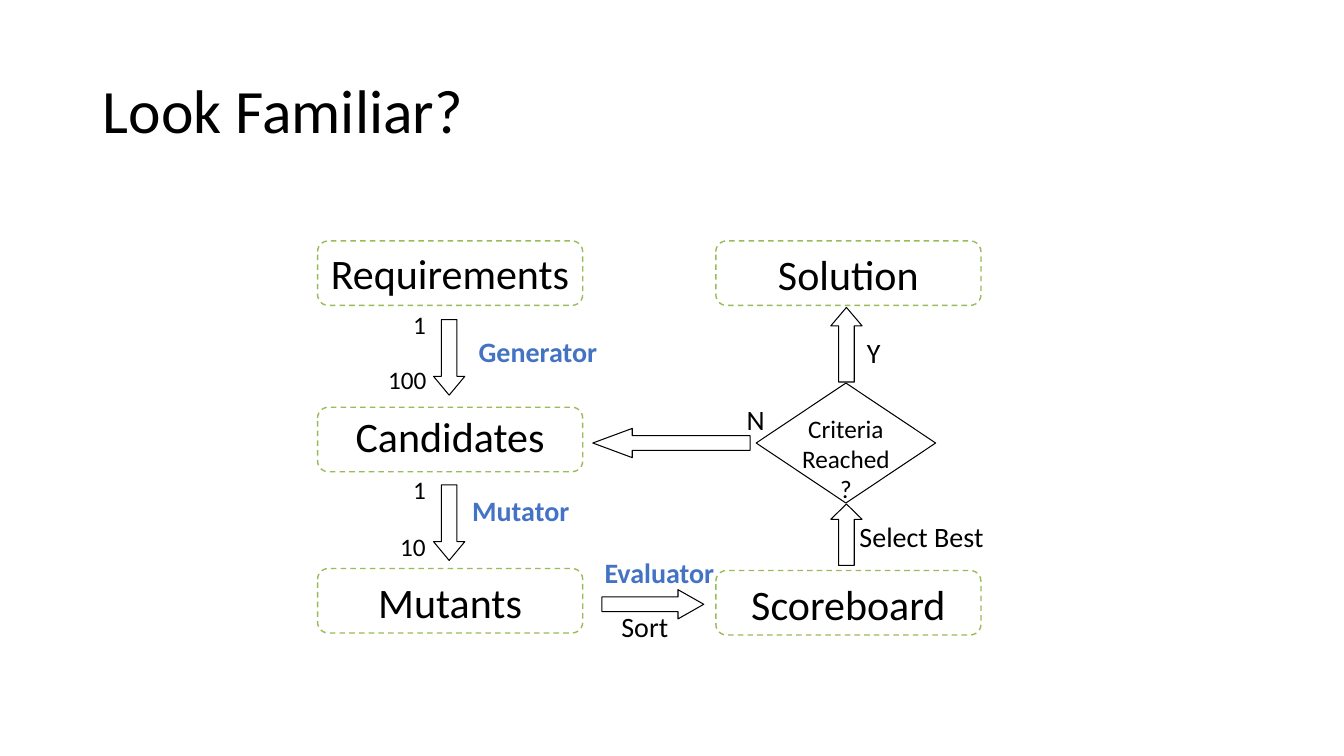
"""Build the slide that shows the generate, mutate and evaluate loop."""
from dataclasses import dataclass

from pptx import Presentation
from pptx.dml.color import RGBColor
from pptx.enum.dml import MSO_LINE_DASH_STYLE as Dash
from pptx.enum.shapes import MSO_AUTO_SHAPE_TYPE as Preset
from pptx.enum.text import MSO_VERTICAL_ANCHOR as Anchor
from pptx.enum.text import PP_PARAGRAPH_ALIGNMENT as Align
from pptx.shapes.autoshape import Shape
from pptx.slide import Slide
from pptx.text.text import TextFrame
from pptx.util import Inches, Pt

BLACK = RGBColor(0x00, 0x00, 0x00)
WHITE = RGBColor(0xFF, 0xFF, 0xFF)
GREEN = RGBColor(0x9B, 0xBB, 0x59)
BLUE = RGBColor(0x44, 0x72, 0xC4)

CELL = Inches(0.1)
LEFT_COLUMN, RIGHT_COLUMN = 31.5, 71
STAGE_WIDTH, STAGE_HEIGHT = 26.3, 6.4
LEFT_ARROW, RIGHT_ARROW = 43, 82.4
ARROW_BREADTH, SIDE_BREADTH = 3.1, 2.9
LABEL_HEIGHT = 3.9


@dataclass(frozen=True)
class Stage:
    """A dashed box; margins are in grid cells."""
    text: str
    column: float
    row: float
    side_margin: float = 1
    end_margin: float = 0.5
    anchor: Anchor = Anchor.TOP
    space: float = 6


@dataclass(frozen=True)
class Arrow:
    """A block arrow; head is its length relative to its breadth."""
    preset: Preset
    column: float
    row: float
    width: float
    height: float
    head: float


@dataclass(frozen=True)
class Label:
    """A centred caption beside an arrow."""
    text: str
    column: float
    row: float
    width: float
    color: RGBColor = BLACK
    bold: bool = False


@dataclass(frozen=True)
class Count:
    """A number of items at one end of an arrow."""
    text: str
    column: float
    row: float
    width: float


STAGES = [
    Stage("Requirements", LEFT_COLUMN, 23.9, 0, 0.5, Anchor.MIDDLE, 0),
    Stage("Candidates", LEFT_COLUMN, 40.4, 1, 0),
    Stage("Mutants", LEFT_COLUMN, 56.4),
    Stage("Solution", RIGHT_COLUMN, 23.9),
    Stage("Scoreboard", RIGHT_COLUMN, 56.6),
]
ARROWS = [
    Arrow(Preset.DOWN_ARROW, LEFT_ARROW, 31.7, ARROW_BREADTH, 7.5, 0.6),
    Arrow(Preset.DOWN_ARROW, LEFT_ARROW, 48.1, ARROW_BREADTH, 7.5, 0.6),
    Arrow(Preset.RIGHT_ARROW, 59.7, 58.5, 10.1, SIDE_BREADTH, 0.88),
    Arrow(Preset.UP_ARROW, RIGHT_ARROW, 50, ARROW_BREADTH, 6.1, 0.49),
    Arrow(Preset.LEFT_ARROW, 58.8, 42.5, 15.6, SIDE_BREADTH, 1.35),
    Arrow(Preset.UP_ARROW, RIGHT_ARROW, 30.5, ARROW_BREADTH, 7.4, 0.59),
]
LABELS = [
    Label("Generator", 46.1, 32.9, 14.5, BLUE, True),
    Label("Mutator", 45.1, 48.7, 13.1, BLUE, True),
    Label("Evaluator", 59.9, 54.8, 11, BLUE, True),
    Label("Sort", 59.4, 60.2, 9.1),
    Label("Select Best", 85.2, 51.3, 12.4),
    Label("N", 73.1, 39.6, 3.7),
    Label("Y", 84.8, 33, 3.7),
]
COUNTS = [
    Count("1", 40, 30.2, 3.3),
    Count("100", 37.5, 35.7, 5.9),
    Count("1", 40, 46.6, 3.3),
    Count("10", 38.7, 52.2, 4.6),
]


def cells(*counts: float) -> list[int]:
    """Turn counts of grid cells into lengths."""
    return [round(count * CELL) for count in counts]


def write(frame: TextFrame, text: str, size: float, color: RGBColor = BLACK,
          bold: bool = False, align: Align = Align.CENTER, space: float = 6,
          anchor: Anchor = Anchor.TOP, side_margin: float = 0,
          end_margin: float = 0, wrap: bool = True) -> None:
    """Fill a frame with one formatted paragraph."""
    frame.word_wrap = wrap
    frame.vertical_anchor = anchor
    frame.margin_left = frame.margin_right = cells(side_margin)[0]
    frame.margin_top = frame.margin_bottom = cells(end_margin)[0]
    para = frame.paragraphs[0]
    para.text = text
    para.alignment = align
    para.space_before = para.space_after = Pt(space)
    para.font.name = "Calibri"
    para.font.size = Pt(size)
    para.font.bold = bold
    para.font.color.rgb = color


def add_outline(page: Slide, preset: Preset, column: float, row: float,
                width: float, height: float, color: RGBColor = BLACK,
                weight: float = 0.75) -> Shape:
    """Add a white preset shape with a thin outline."""
    box = page.shapes.add_shape(preset, *cells(column, row, width, height))
    box.shadow.inherit = False
    box.fill.solid()
    box.fill.fore_color.rgb = WHITE
    box.line.color.rgb = color
    box.line.width = Pt(weight)
    return box


def add_stage(page: Slide, stage: Stage) -> None:
    """Add a dashed, rounded box."""
    box = add_outline(page, Preset.ROUNDED_RECTANGLE, stage.column, stage.row,
                      STAGE_WIDTH, STAGE_HEIGHT, GREEN, 1)
    box.line.dash_style = Dash.DASH
    write(box.text_frame, stage.text, 30, space=stage.space,
          anchor=stage.anchor, side_margin=stage.side_margin,
          end_margin=stage.end_margin)


def add_arrow(page: Slide, arrow: Arrow) -> None:
    """Add a block arrow."""
    shape = add_outline(page, arrow.preset, arrow.column, arrow.row,
                        arrow.width, arrow.height)
    shape.adjustments[0] = 0.5
    shape.adjustments[1] = arrow.head


def add_label(page: Slide, label: Label) -> None:
    """Add a caption."""
    box = page.shapes.add_textbox(
        *cells(label.column, label.row, label.width, LABEL_HEIGHT))
    write(box.text_frame, label.text, 20, label.color, label.bold,
          anchor=Anchor.MIDDLE)


def add_count(page: Slide, count: Count) -> None:
    """Add a number."""
    box = page.shapes.add_textbox(
        *cells(count.column, count.row, count.width, 4))
    write(box.text_frame, count.text, 18, align=Align.LEFT, space=0,
          side_margin=1, end_margin=0.5, wrap=False)


def main() -> None:
    """Build and save the deck."""
    deck = Presentation()
    deck.slide_width, deck.slide_height = Inches(13.33), Inches(7.5)
    page = deck.slides.add_slide(deck.slide_layouts[5])
    title = page.shapes.title
    title.left, title.top, title.width, title.height = cells(9.2, 4, 115, 14.5)
    write(title.text_frame, "Look Familiar?", 44, align=Align.LEFT, space=0,
          anchor=Anchor.MIDDLE, side_margin=1, end_margin=0.5)
    title.text_frame.paragraphs[0].line_spacing = 0.9
    for stage in STAGES:
        add_stage(page, stage)
    decision = add_outline(page, Preset.FLOWCHART_DECISION, 75, 38, 17.8, 11.9)
    write(decision.text_frame, "Criteria Reached?", 18)
    for arrow in ARROWS:
        add_arrow(page, arrow)
    for label in LABELS:
        add_label(page, label)
    for count in COUNTS:
        add_count(page, count)
    deck.save("out.pptx")


if __name__ == "__main__":
    main()
